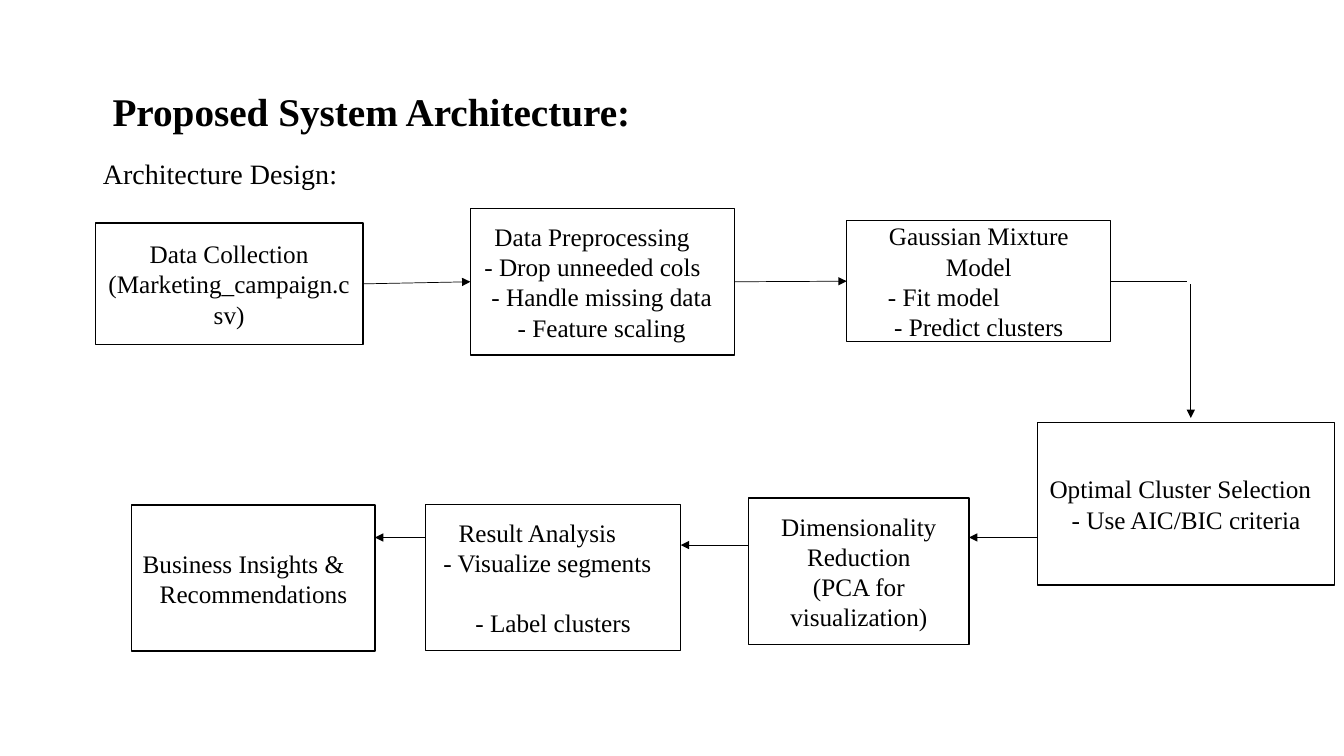
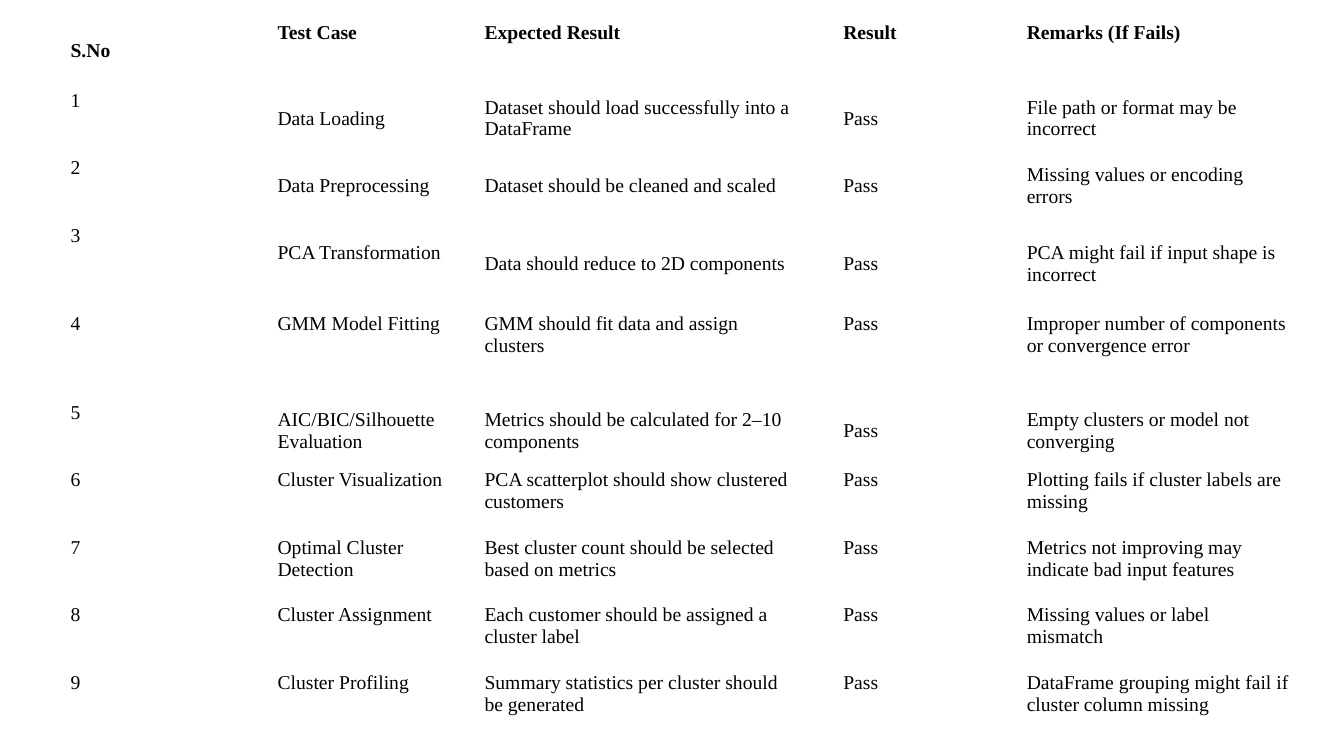
from collections import namedtuple

from lxml import etree
from pptx import Presentation
from pptx.dml.color import RGBColor
from pptx.enum.shapes import MSO_CONNECTOR, MSO_SHAPE
from pptx.enum.text import MSO_ANCHOR, MSO_AUTO_SIZE, PP_ALIGN
from pptx.oxml.ns import qn
from pptx.util import Inches, Pt

BLACK = RGBColor(0x00, 0x00, 0x00)
WHITE = RGBColor(0xFF, 0xFF, 0xFF)
FONT = "Times New Roman"
LEFT, CENTER = PP_ALIGN.LEFT, PP_ALIGN.CENTER
TOP, MIDDLE = MSO_ANCHOR.TOP, MSO_ANCHOR.MIDDLE
RECTANGLE, STRAIGHT = MSO_SHAPE.RECTANGLE, MSO_CONNECTOR.STRAIGHT
NO_AUTOFIT = MSO_AUTO_SIZE.NONE
SLIDE_WIDTH, SLIDE_HEIGHT = Inches(13.33), Inches(7.5)
TITLE_LAYOUT, BLANK_LAYOUT = 1, 6

Area = namedtuple("Area", "left top width height")
Line = namedtuple("Line", "text indent before", defaults=(None, 0))

TITLE_AREA = Area(6.9, 5.33, 86.25, 19.33)
BODY_AREA = Area(6.9, 20.53, 86.25, 69.6)

COLLECTION = Area(7.1, 29.5, 19.9, 16.1)
PREPROCESSING = Area(35, 27.6, 19.65, 19.35)
MIXTURE = Area(63, 29.2, 19.65, 16)
SELECTION = Area(77.2, 55.9, 22.1, 21.5)
REDUCTION = Area(55.7, 65.9, 16.4, 19.4)
ANALYSIS = Area(31.65, 66.7, 19, 19.35)
INSIGHTS = Area(9.8, 66.8, 18.1, 19.35)

STEPS = [
    (COLLECTION, [Line("Data Collection"), Line("(Marketing_campaign.csv)")]),
    (PREPROCESSING, [Line("Data Preprocessing", 1.05), Line("- Drop unneeded cols", 0.3),
                     Line("- Handle missing data", 0.83), Line("- Feature scaling", 2.78)]),
    (MIXTURE, [Line("Gaussian Mixture Model"), Line("- Fit model", 2.33),
               Line("- Predict clusters")]),
    (SELECTION, [Line("Optimal Cluster Selection", 0.15), Line("- Use AIC/BIC criteria")]),
    (REDUCTION, [Line("Dimensionality Reduction"), Line("(PCA for visualization)")]),
    (ANALYSIS, [Line("Result Analysis", 1.73), Line("- Visualize segments", 0.6),
                Line("- Label clusters", before=21)]),
    (INSIGHTS, [Line("Business Insights &", 0.08), Line("Recommendations", 1.35)]),
]

TABLE_LEFT, TABLE_TOP = 4.5, 2.27
COLUMN_WIDTHS = [15.4, 15.4, 24.9, 1.8, 13.65, 21]
SPACER_COLUMN = 3
ROW_HEIGHT, TALL_ROW_HEIGHT = 8.93, 11.73
TALL_ROWS = {3, 4, 9}
MIDDLE_ROWS = {1, 2, 3, 5}
HEADER = ["S.No", "Test Case", "Expected Result", "Result", "Remarks (If Fails)"]
TEST_CASES = [
    ("Data Loading", "Dataset should load successfully into a DataFrame",
     "File path or format may be incorrect"),
    ("Data Preprocessing", "Dataset should be cleaned and scaled",
     "Missing values or encoding errors"),
    ("PCA Transformation", "Data should reduce to 2D components",
     "PCA might fail if input shape is incorrect"),
    ("GMM Model Fitting", "GMM should fit data and assign clusters",
     "Improper number of components or convergence error"),
    ("AIC/BIC/Silhouette Evaluation", "Metrics should be calculated for 2–10 components",
     "Empty clusters or model not converging"),
    ("Cluster Visualization", "PCA scatterplot should show clustered customers",
     "Plotting fails if cluster labels are missing"),
    ("Optimal Cluster Detection", "Best cluster count should be selected based on metrics",
     "Metrics not improving may indicate bad input features"),
    ("Cluster Assignment", "Each customer should be assigned a cluster label",
     "Missing values or label mismatch"),
    ("Cluster Profiling", "Summary statistics per cluster should be generated",
     "DataFrame grouping might fail if cluster column missing"),
]


def across(percent):
    """Return a percentage of the slide's width."""
    return round(SLIDE_WIDTH * percent / 100)


def down(percent):
    """Return a percentage of the slide's height."""
    return round(SLIDE_HEIGHT * percent / 100)


def place(area):
    """Return left, top, width and height as slide lengths."""
    return across(area.left), down(area.top), across(area.width), down(area.height)


def write(para, text, size=18, bold=False, align=LEFT, spacing=None, before=0, indent=0):
    """Put formatted text into a paragraph."""
    span = para.add_run()
    span.text = text
    span.font.name = FONT
    span.font.size = Pt(size)
    span.font.bold = bold
    span.font.color.rgb = BLACK
    para.alignment = align
    para.line_spacing = spacing
    para.space_before = Pt(before)
    properties = para._p.get_or_add_pPr()
    properties.set("marL", str(across(indent)))
    properties.set("indent", "0")


def fill_placeholder(box, area, text, anchor=TOP, **style):
    """Move a placeholder and give it one unbulleted paragraph."""
    box.left, box.top, box.width, box.height = place(area)
    frame = box.text_frame
    frame.auto_size = NO_AUTOFIT
    frame.vertical_anchor = anchor
    para = frame.paragraphs[0]
    write(para, text, spacing=0.9, **style)
    etree.SubElement(para._p.get_or_add_pPr(), qn("a:buNone"))


def add_step(page, area, lines):
    """Add an outlined process box with its lines of text."""
    box = page.shapes.add_shape(RECTANGLE, *place(area))
    box.shadow.inherit = False
    box.fill.solid()
    box.fill.fore_color.rgb = WHITE
    box.line.color.rgb = BLACK
    box.line.width = Pt(1)
    frame = box.text_frame
    frame.word_wrap = True
    frame.vertical_anchor = MIDDLE
    for number, line in enumerate(lines):
        para = frame.add_paragraph() if number else frame.paragraphs[0]
        align = CENTER if line.indent is None else LEFT
        write(para, line.text, align=align, before=line.before, indent=line.indent or 0)


def add_link(page, start, end, arrow=True):
    """Draw a thin line between two points, with an optional arrowhead."""
    link = page.shapes.add_connector(
        STRAIGHT, across(start[0]), down(start[1]), across(end[0]), down(end[1]))
    link.line.color.rgb = BLACK
    link.line.width = Pt(0.5)
    if arrow:
        etree.SubElement(link.line._get_or_add_ln(), qn("a:tailEnd"), type="triangle")
    etree.SubElement(link._element.spPr, qn("a:effectLst"))


def right_side(area, height=None):
    """Return a point on the right side, halfway down unless a height is given."""
    middle = area.top + area.height / 2
    return area.left + area.width, middle if height is None else height


def left_side(area, height=None):
    """Return a point on the left side, halfway down unless a height is given."""
    return area.left, right_side(area, height)[1]


def build_architecture(deck):
    """Build the flow diagram slide."""
    page = deck.slides.add_slide(deck.slide_layouts[TITLE_LAYOUT])
    fill_placeholder(page.shapes.title, TITLE_AREA, " Proposed System Architecture:",
                     anchor=MIDDLE, size=28, bold=True)
    fill_placeholder(page.placeholders[1], BODY_AREA, "Architecture Design:",
                     size=20, before=10)
    for area, lines in STEPS:
        add_step(page, area, lines)
    for source, target in [(COLLECTION, PREPROCESSING), (PREPROCESSING, MIXTURE)]:
        add_link(page, right_side(source), left_side(target))
    bend = right_side(MIXTURE)[1]
    add_link(page, right_side(MIXTURE), (88.3, bend), arrow=False)
    add_link(page, (88.6, 37.6), (88.6, 55.3))
    for source, target, height in [(SELECTION, REDUCTION, 71.1),
                                   (REDUCTION, ANALYSIS, 72.1),
                                   (ANALYSIS, INSIGHTS, 71.1)]:
        add_link(page, left_side(source, height), right_side(target, height))


def build_test_cases(deck):
    """Build the test case table slide."""
    page = deck.slides.add_slide(deck.slide_layouts[BLANK_LAYOUT])
    rows = [HEADER] + [[str(number), case, expected, "Pass", remark]
                       for number, (case, expected, remark) in enumerate(TEST_CASES, 1)]
    heights = [TALL_ROW_HEIGHT if row in TALL_ROWS else ROW_HEIGHT
               for row in range(len(rows))]
    area = Area(TABLE_LEFT, TABLE_TOP, sum(COLUMN_WIDTHS), sum(heights))
    table = page.shapes.add_table(len(rows), len(COLUMN_WIDTHS), *place(area)).table
    table.first_row = table.horz_banding = False
    for column, width in zip(table.columns, COLUMN_WIDTHS):
        column.width = across(width)
    for row, (texts, height) in enumerate(zip(rows, heights)):
        table.rows[row].height = down(height)
        for cell in table.rows[row].cells:
            cell.fill.background()
        for number, text in enumerate(texts):
            cell = table.cell(row, number + (number >= SPACER_COLUMN))
            centred = row in MIDDLE_ROWS if number else row == 0
            cell.vertical_anchor = MIDDLE if centred else TOP
            write(cell.text_frame.paragraphs[0], text, size=14, bold=row == 0)
    table.cell(3, 1).margin_bottom = down(3.6)


def main():
    """Build and save the deck."""
    deck = Presentation()
    deck.slide_width, deck.slide_height = SLIDE_WIDTH, SLIDE_HEIGHT
    build_architecture(deck)
    build_test_cases(deck)
    deck.save("out.pptx")


if __name__ == "__main__":
    main()
